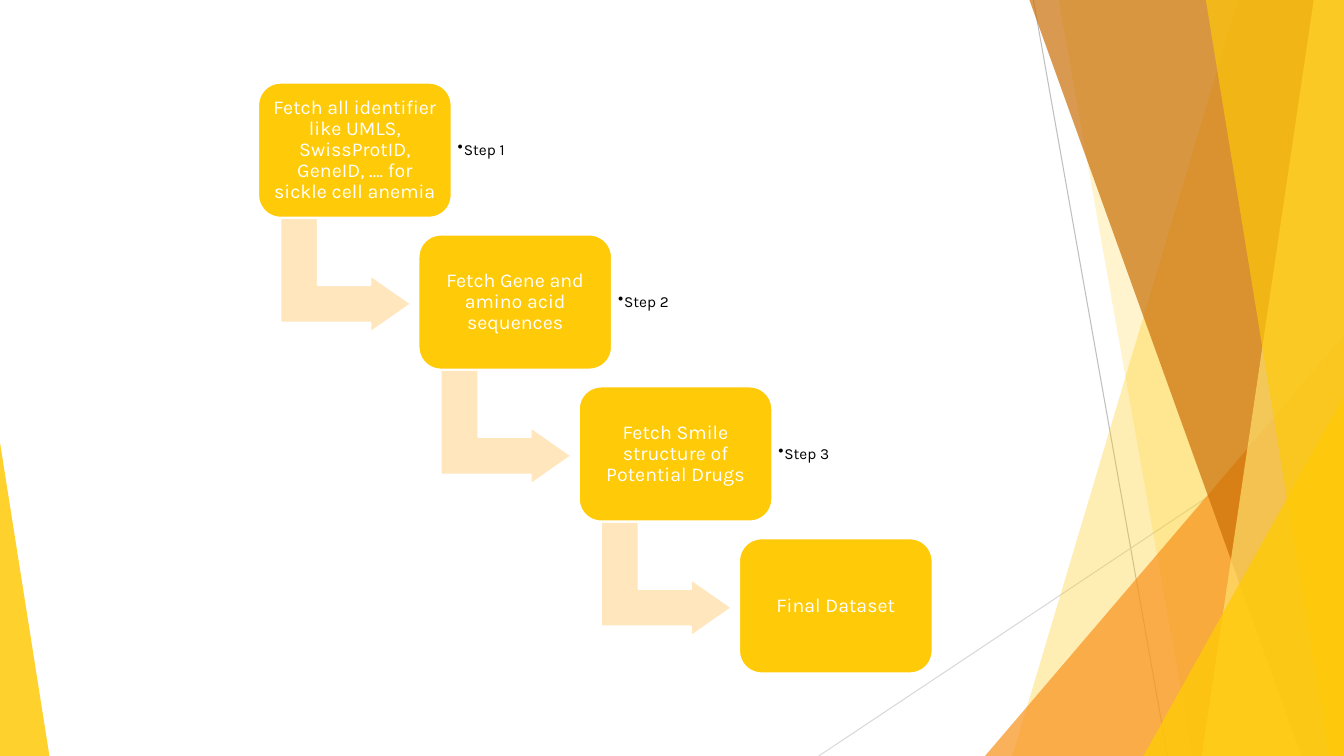
from lxml import etree
from pptx import Presentation
from pptx import util as u
from pptx.dml.color import RGBColor
from pptx.enum import shapes, text
from pptx.oxml import ns

COLORS = {
    "gold": "FFCA08", "pale_gold": "FFDF6B", "orange": "F8931D",
    "brown": "CA6F06", "cream": "FFE6BD", "white": "FFFFFF",
    "black": "000000", "gray": "BFBFBF", "light_gray": "D9D9D9",
}
WIDTH, HEIGHT = 13.33, 7.5
SHAPE = shapes.MSO_SHAPE
ALIGN = text.PP_ALIGN
BOX_LEFT, BOX_TOP, BOX_W, BOX_H = 2.56, 0.82, 1.92, 1.34
STEP_X, STEP_Y = 1.59, 1.507
STAGES = [
    ("Fetch all identifier like UMLS, SwissProtID, GeneID, …. for sickle cell anemia", "Step 1"),
    ("Fetch Gene and amino acid sequences", "Step 2"),
    ("Fetch Smile structure of Potential Drugs", "Step 3"),
    ("Final Dataset", None),
]
FRAME = {
    "word_wrap": True, "vertical_anchor": text.MSO_ANCHOR.MIDDLE,
    **{f"margin_{side}": u.Inches(0.06) for side in ("left", "top", "right", "bottom")},
}


def rgb(name):
    return RGBColor.from_string(COLORS[name])


def set_attrs(obj, values):
    for name, value in values.items():
        setattr(obj, name, value)


def paint(sp, color, alpha=100, outlined=False):
    sp.shadow.inherit = False
    sp.fill.solid()
    sp.fill.fore_color.rgb = rgb(color)
    if alpha < 100:
        clr = sp.fill._xPr.find(".//" + ns.qn("a:srgbClr"))
        etree.SubElement(clr, ns.qn("a:alpha")).set("val", str(alpha * 1000))
    if outlined:
        sp.line.color.rgb = rgb("white")
        sp.line.width = u.Pt(1.5)
    else:
        sp.line.fill.background()


def add_preset(s, kind, left, top, width, height, adjustments=()):
    sp = s.shapes.add_shape(kind, *map(u.Inches, (left, top, width, height)))
    for i, value in enumerate(adjustments):
        sp.adjustments[i] = value
    return sp


def add_line(s, x1, y1, x2, y2, color):
    line = s.shapes.add_connector(
        shapes.MSO_CONNECTOR.STRAIGHT, *map(u.Inches, (x1, y1, x2, y2)))
    line.line.color.rgb = rgb(color)
    line.line.width = u.Pt(0.75)
    etree.SubElement(line._element.spPr, ns.qn("a:effectLst"))


def add_band(s, top_x, bottom_x, color, alpha):
    corners = [(top_x, 0), (WIDTH, 0), (WIDTH, HEIGHT), (bottom_x, HEIGHT)]
    points = [(u.Inches(x), u.Inches(y)) for x, y in corners]
    builder = s.shapes.build_freeform(*points[0])
    builder.add_line_segments(points[1:], close=True)
    paint(builder.convert_to_shape(), color, alpha)


def add_triangle(s, left, top, width, apex, color, alpha):
    sp = add_preset(s, SHAPE.ISOSCELES_TRIANGLE, left, top, width, HEIGHT - top, [apex])
    paint(sp, color, alpha)


def write(sp, words, size, color, align):
    tf = sp.text_frame
    set_attrs(tf, FRAME)
    p = tf.paragraphs[0]
    set_attrs(p, {"alignment": align, "line_spacing": 0.9})
    r = p.add_run()
    r.text = words
    set_attrs(r.font, {"name": "Karla", "size": u.Pt(size)})
    r.font.color.rgb = rgb(color)
    return p


def add_bullet(p):
    pPr = p._p.get_or_add_pPr()
    indent = u.Inches(0.06)
    pPr.set("marL", str(indent))
    pPr.set("indent", str(-indent))
    etree.SubElement(pPr, ns.qn("a:buChar")).set("char", "•")


def add_arrow(s, left, top):
    sp = add_preset(s, SHAPE.BENT_UP_ARROW, left, top, 1.14, 1.3, (0.328, 0.25, 0.358))
    sp.rotation = 90
    paint(sp, "cream", outlined=True)


def add_box(s, left, top, words):
    sp = add_preset(s, SHAPE.ROUNDED_RECTANGLE, left, top, BOX_W, BOX_H, [0.167])
    paint(sp, "gold", outlined=True)
    write(sp, words, 14, "white", ALIGN.CENTER)


def add_label(s, left, top, words):
    sp = s.shapes.add_textbox(*map(u.Inches, (left, top, 1.39, 1.08)))
    add_bullet(write(sp, words, 11, "black", ALIGN.LEFT))


def add_backdrop(s):
    add_line(s, 10.25, 0, 11.58, HEIGHT, "gray")
    add_line(s, WIDTH, 4.03, 8.12, HEIGHT, "light_gray")
    add_band(s, 12.28, 10.04, "gold", 30)
    add_band(s, 10.5, 11.83, "gold", 20)
    add_triangle(s, 9.77, 3.33, 3.56, 1, "orange", 72)
    add_band(s, 10.21, 12.91, "brown", 70)
    add_band(s, 13.03, 11.92, "pale_gold", 70)
    add_band(s, 11.96, 13.18, "gold", 65)
    add_triangle(s, 11.34, 3.93, 1.99, 1, "gold", 80)
    add_triangle(s, 0, 4.39, 0.49, 0, "gold", 85)


def add_staircase(s):
    for i, (words, label) in enumerate(STAGES):
        left, top = BOX_LEFT + i * STEP_X, BOX_TOP + i * STEP_Y
        if label:
            add_arrow(s, left + 0.3, top + 1.26)
        add_box(s, left, top, words)
        if label:
            add_label(s, left + BOX_W, top + 0.13, label)


def main():
    prs = Presentation()
    set_attrs(prs, {"slide_width": u.Inches(WIDTH), "slide_height": u.Inches(HEIGHT)})
    s = prs.slides.add_slide(prs.slide_layouts[6])
    add_backdrop(s)
    add_staircase(s)
    prs.save("out.pptx")


if __name__ == "__main__":
    main()
